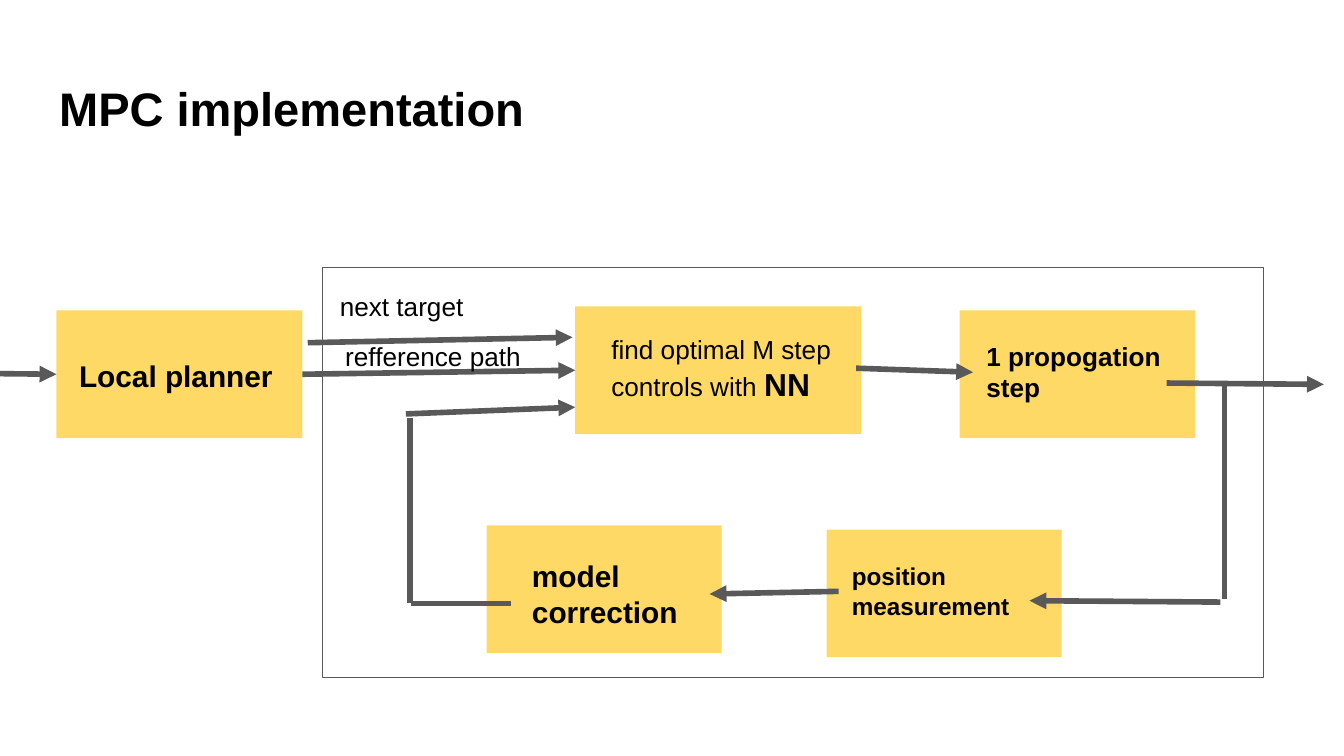
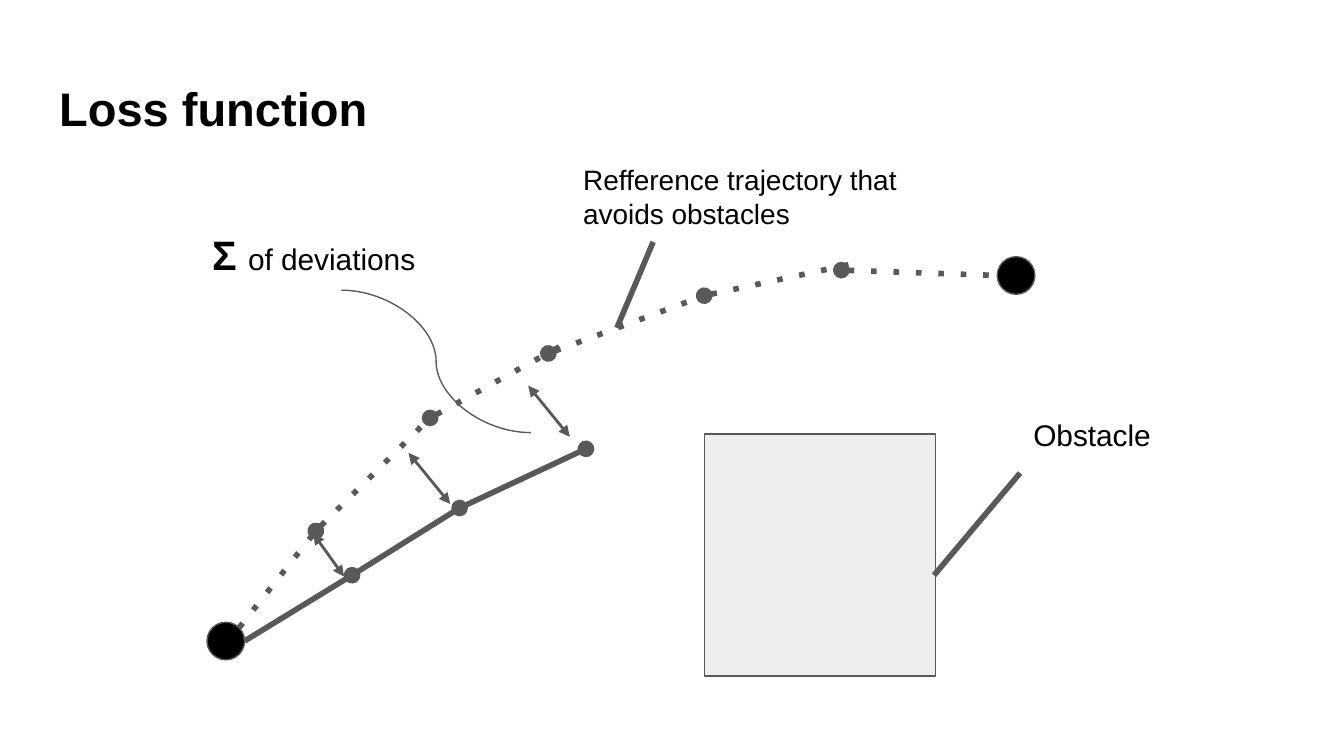
from lxml.etree import SubElement
from pptx import Presentation
from pptx.dml.color import RGBColor
from pptx.enum.shapes import MSO_CONNECTOR as CONN, MSO_SHAPE as SHAPE
from pptx.enum.text import MSO_ANCHOR, MSO_AUTO_SIZE as AUTO, PP_ALIGN
from pptx.oxml.ns import qn
from pptx.util import Inches, Pt

FONT = "Arial"
COLORS = {"text": "000000", "line": "595959", "block": "FFD966",
          "obstacle": "EEEEEE", "endpoint": "000000"}
SLIDE_WIDTH = Inches(10)
SLIDE_HEIGHT = SLIDE_WIDTH * 9 // 16
TITLE_BOX = (0.34, 0.49, 9.32, 0.63)
TITLE_SIZE = 25.2
MARGINS = ("margin_left", "margin_top", "margin_right", "margin_bottom")
LEFT, RIGHT = 1, 3
ARROW = {"tail": "triangle"}

# Slide 1: control loop
LOOP_FRAME = (2.4, 1.99, 7, 3.05)
BLOCKS = {
    "planner": (0.42, 2.31, 1.83, 0.95),
    "optimizer": (4.28, 2.28, 2.13, 0.95),
    "propagation": (7.14, 2.31, 1.75, 0.95),
    "correction": (3.62, 3.91, 1.75, 0.95),
    "measurement": (6.15, 3.94, 1.75, 0.95),
}
# box, runs of (text, size, bold)
LOOP_LABELS = [
    ((0.49, 2.56, 1.75, 0.47), [("Local planner", 16, True)]),
    ((2.43, 2.06, 1.58, 0.44), [("next target", 14, False)]),
    ((2.47, 2.43, 1.58, 0.44), [("refference path", 14, False)]),
    ((4.45, 2.38, 1.92, 0.72),
     [("find optimal M step controls with ", 14, False), ("NN", 17, True)]),
    ((7.24, 2.43, 1.58, 0.67), [("1 propogation step", 14, True)]),
    ((3.86, 4.05, 1.42, 0.74), [("model correction", 16, True)]),
    ((6.24, 4.08, 1.42, 0.64), [("position measurement", 13, True)]),
]
# start, end, block joined at start, block joined at end
JOINED_ARROWS = [
    ((-1, 2.77), (0.42, 2.79), None, "planner"),
    ((2.25, 2.79), (4.28, 2.76), "planner", "optimizer"),
]
LOOP_ARROWS = [
    ((2.29, 2.55), (4.26, 2.51)),
    ((8.68, 2.85), (9.85, 2.86)),
    ((6.37, 2.74), (7.24, 2.77)),
    ((9.08, 4.48), (7.66, 4.47)),
    ((3.02, 3.08), (4.28, 3.03)),
    ((6.24, 4.4), (5.28, 4.42)),
]
LOOP_LINES = [
    ((9.11, 2.85), (9.11, 4.46)),
    ((3.05, 3.11), (3.05, 4.49)),
    ((3.8, 4.49), (3.06, 4.49)),
]

# Slide 2: trajectories and deviations
ENDPOINTS = [(7.42, 1.91), (1.54, 4.63)]
ENDPOINT_SIZE = 0.28
OBSTACLE = (5.24, 3.23, 1.72, 1.8)
REFERENCE_PATH = [
    ((1.78, 4.67), (2.35, 3.95)),
    ((2.35, 3.95), (3.2, 3.11)),
    ((3.2, 3.11), (4.2, 2.56)),
    ((4.08, 2.63), (5.24, 2.2)),
    ((5.24, 2.2), (6.36, 1.96)),
    ((6.26, 2.01), (7.42, 2.05)),
]
ACTUAL_PATH = [(1.82, 4.77), (2.62, 4.28), (3.42, 3.78), (4.36, 3.34)]
DEVIATIONS = [
    ((2.56, 4.29), (2.33, 3.97)),
    ((4.24, 3.25), (3.93, 2.87)),
    ((3.35, 3.75), (3.04, 3.37)),
]
LEADERS = [((4.86, 1.8), (4.59, 2.44)), ((7.59, 3.52), (6.95, 4.28))]
SUM_LEADER = ((3.95, 3.22), (2.54, 2.16))
LOSS_LABELS = [
    ((4.24, 1.11, 2.57, 0.71),
     [("Refference trajectory that avoids obstacles", 15, False)]),
    ((1.48, 1.61, 1.94, 0.57),
     [("Σ ", 22, True), ("of deviations", 16, False)]),
    ((7.59, 3, 1.41, 0.47), [("Obstacle", 16, False)]),
]


def rgb(name):
    return RGBColor.from_string(COLORS[name])


def inches(values):
    return [Inches(v) for v in values]


def write(tf, runs, auto_size):
    tf.word_wrap = True
    tf.auto_size = auto_size
    tf.vertical_anchor = MSO_ANCHOR.TOP
    for margin in MARGINS:
        setattr(tf, margin, Inches(0.1))
    p = tf.paragraphs[0]
    p.alignment = PP_ALIGN.LEFT
    for text, size, bold in runs:
        r = p.add_run()
        r.text = text
        for key, value in {"name": FONT, "size": Pt(size), "bold": bold}.items():
            setattr(r.font, key, value)
        r.font.color.rgb = rgb("text")


def add_labels(slide, labels):
    for box, runs in labels:
        sp = slide.shapes.add_textbox(*inches(box))
        write(sp.text_frame, runs, AUTO.SHAPE_TO_FIT_TEXT)


def add_shape(slide, kind, box, fill=None, outlined=True):
    sp = slide.shapes.add_shape(kind, *inches(box))
    sp.shadow.inherit = False
    if fill:
        sp.fill.solid()
        sp.fill.fore_color.rgb = rgb(fill)
    else:
        sp.fill.background()
    if outlined:
        sp.line.color.rgb = rgb("line")
        sp.line.width = Pt(0.75)
    else:
        sp.line.fill.background()
    return sp


def add_line(slide, start, end, width=3, kind=CONN.STRAIGHT, dash=None, **tips):
    """Draw a connector; tips maps head and tail to an arrowhead type."""
    line = slide.shapes.add_connector(kind, *inches(start + end))
    line.line.color.rgb = rgb("line")
    line.line.width = Pt(width)
    props = line._element.spPr
    ln = props.find(qn("a:ln"))
    if dash:
        SubElement(ln, qn("a:prstDash"), val=dash)
    for side in ("head", "tail"):
        if side in tips:
            SubElement(ln, qn(f"a:{side}End"), type=tips[side])
    SubElement(props, qn("a:effectLst"))
    return line


def add_slide(prs, title):
    slide = prs.slides.add_slide(prs.slide_layouts[5])
    sp = slide.shapes.title
    sp.left, sp.top, sp.width, sp.height = inches(TITLE_BOX)
    write(sp.text_frame, [(title, TITLE_SIZE, True)], AUTO.NONE)
    return slide


def build_loop(prs):
    slide = add_slide(prs, "MPC implementation")
    add_shape(slide, SHAPE.RECTANGLE, LOOP_FRAME)
    blocks = {name: add_shape(slide, SHAPE.RECTANGLE, box, "block", False)
              for name, box in BLOCKS.items()}
    for start, end, source, target in JOINED_ARROWS:
        arrow = add_line(slide, start, end, **ARROW)
        if source:
            arrow.begin_connect(blocks[source], RIGHT)
        arrow.end_connect(blocks[target], LEFT)
    for start, end in LOOP_ARROWS:
        add_line(slide, start, end, **ARROW)
    for start, end in LOOP_LINES:
        add_line(slide, start, end)
    add_labels(slide, LOOP_LABELS)


def build_loss(prs):
    slide = add_slide(prs, "Loss function")
    for corner in ENDPOINTS:
        add_shape(slide, SHAPE.OVAL, corner + (ENDPOINT_SIZE,) * 2, "endpoint")
    for i, (start, end) in enumerate(REFERENCE_PATH):
        tips = {"head": "oval"} if i else {}
        add_line(slide, start, end, dash="dot", **tips)
    for start, end in zip(ACTUAL_PATH, ACTUAL_PATH[1:]):
        add_line(slide, start, end, tail="oval")
    add_shape(slide, SHAPE.RECTANGLE, OBSTACLE, "obstacle")
    for start, end in DEVIATIONS:
        add_line(slide, start, end, 1.5, head="triangle", tail="triangle")
    for start, end in LEADERS:
        add_line(slide, start, end)
    add_line(slide, *SUM_LEADER, width=0.75, kind=CONN.CURVE)
    add_labels(slide, LOSS_LABELS)


def main():
    prs = Presentation()
    prs.slide_width, prs.slide_height = SLIDE_WIDTH, SLIDE_HEIGHT
    build_loop(prs)
    build_loss(prs)
    prs.save("out.pptx")


if __name__ == "__main__":
    main()
